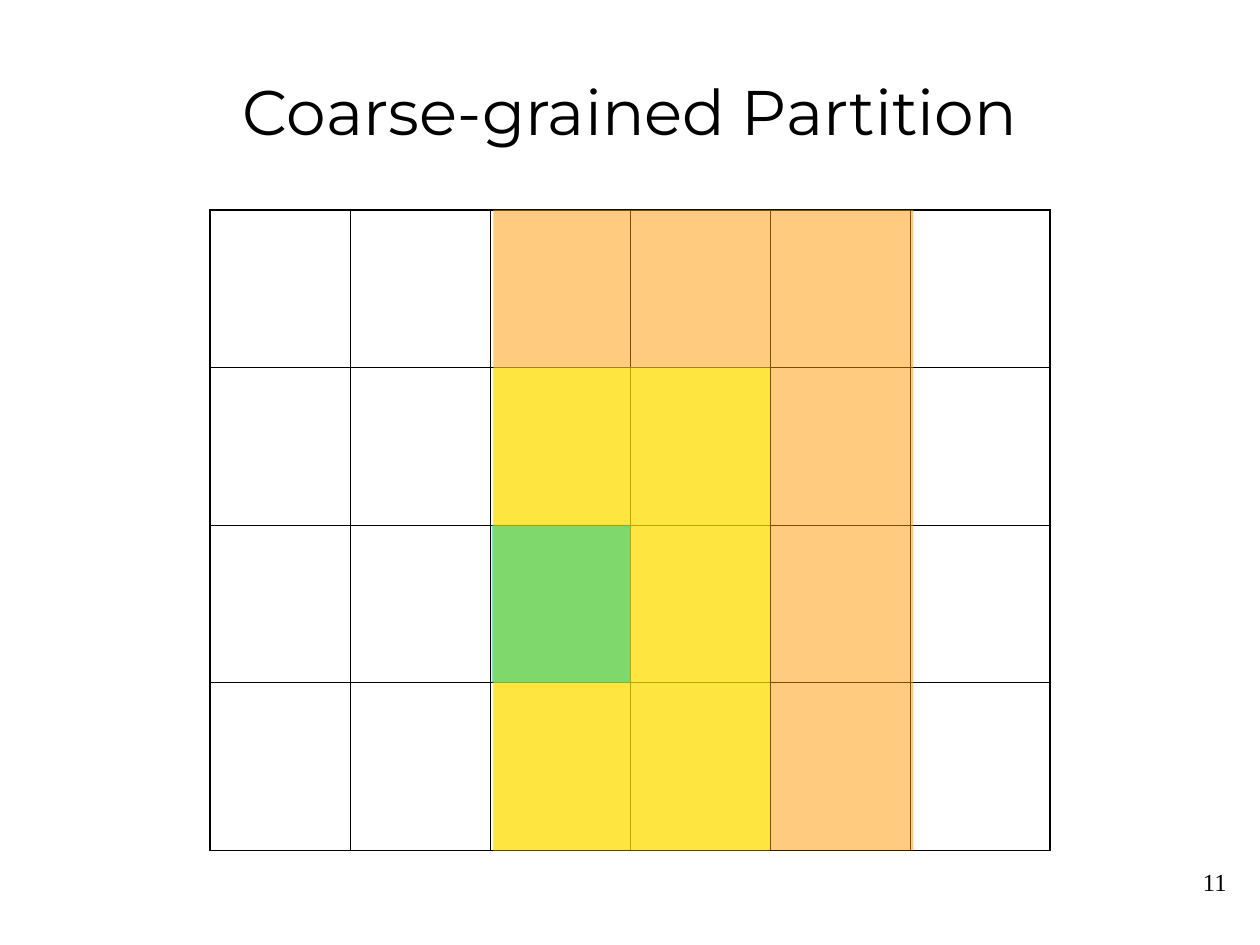
from lxml import etree
from pptx import Presentation
from pptx.dml.color import RGBColor
from pptx.enum.shapes import MSO_SHAPE
from pptx.enum.text import MSO_ANCHOR, PP_ALIGN
from pptx.oxml.ns import qn
from pptx.util import Pt

RECT = MSO_SHAPE.RECTANGLE
MIDDLE, TOP = MSO_ANCHOR.MIDDLE, MSO_ANCHOR.TOP
CENTER, RIGHT = PP_ALIGN.CENTER, PP_ALIGN.RIGHT
BLACK = "000000"
THIN, THICK = 0.45, 1.08
COL_W = 80
ROW_HEIGHTS = [90, 90, 90, 96]
COLS = 6


def rgb(value):
    """Turn a hex string into a colour."""
    return RGBColor.from_string(value)


def place(sp, box):
    """Move and size a shape to a box given in points."""
    sp.left, sp.top, sp.width, sp.height = (Pt(v) for v in box)


def write(sp, text, font, size, align, color=BLACK, anchor=TOP):
    """Write one formatted paragraph into a shape."""
    tf = sp.text_frame
    tf.word_wrap = True
    tf.vertical_anchor = anchor
    p = tf.paragraphs[0]
    p.alignment = align
    r = p.add_run()
    r.text = text
    r.font.name = font
    r.font.size = Pt(size)
    r.font.color.rgb = rgb(color)


def add_border(cell, side, width):
    """Draw a solid black border on one side of a cell."""
    ln = etree.SubElement(cell._tc.get_or_add_tcPr(), qn(f"a:ln{side}"), w=str(Pt(width)))
    fill = etree.SubElement(ln, qn("a:solidFill"))
    etree.SubElement(fill, qn("a:srgbClr"), val=BLACK)


def add_title(s, box):
    """Place and fill the slide title."""
    place(s.shapes.title, box)
    write(s.shapes.title, "Coarse-grained Partition", "Montserrat", 36, CENTER, anchor=MIDDLE)


def add_grid(s, box):
    """Add the empty grid with a thicker outer frame."""
    rows = len(ROW_HEIGHTS)
    table = s.shapes.add_table(rows, COLS, *(Pt(v) for v in box)).table
    table.first_row = table.horz_banding = False
    for col in table.columns:
        col.width = Pt(COL_W)
    for row, height in zip(table.rows, ROW_HEIGHTS):
        row.height = Pt(height)
    for i in range(rows):
        for j in range(COLS):
            cell = table.cell(i, j)
            outer = {"L": j == 0, "R": j == COLS - 1, "T": i == 0, "B": i == rows - 1}
            for side, is_outer in outer.items():
                add_border(cell, side, THICK if is_outer else THIN)
            cell.fill.background()


def add_region(s, box, color):
    """Add a half-transparent rectangle over part of the grid."""
    sp = s.shapes.add_shape(RECT, *(Pt(v) for v in box))
    sp.shadow.inherit = False
    sp.line.fill.background()
    sp.fill.solid()
    sp.fill.fore_color.rgb = rgb(color)
    clr = sp._element.spPr.find(f"{qn('a:solidFill')}/{qn('a:srgbClr')}")
    etree.SubElement(clr, qn("a:alpha"), val="50000")


def add_page_number(s, box):
    """Add the page number in the lower right corner."""
    sp = s.shapes.add_textbox(*(Pt(v) for v in box))
    write(sp, "11", "Times New Roman", 14, RIGHT)


def main():
    """Build and save the slide."""
    prs = Presentation()
    prs.slide_width, prs.slide_height = Pt(720), Pt(540)
    s = prs.slides.add_slide(prs.slide_layouts[5])
    add_title(s, (54, 18, 612, 90))
    add_grid(s, (120, 120, COLS * COL_W, sum(ROW_HEIGHTS)))
    add_region(s, (282, 120, 240, 366), "FF9900")
    add_region(s, (282, 210, 158, 276), "FFFF00")
    add_region(s, (281, 300, 79, 90), "00CC99")
    add_page_number(s, (558, 492, 150, 36))
    prs.save("out.pptx")


if __name__ == "__main__":
    main()
